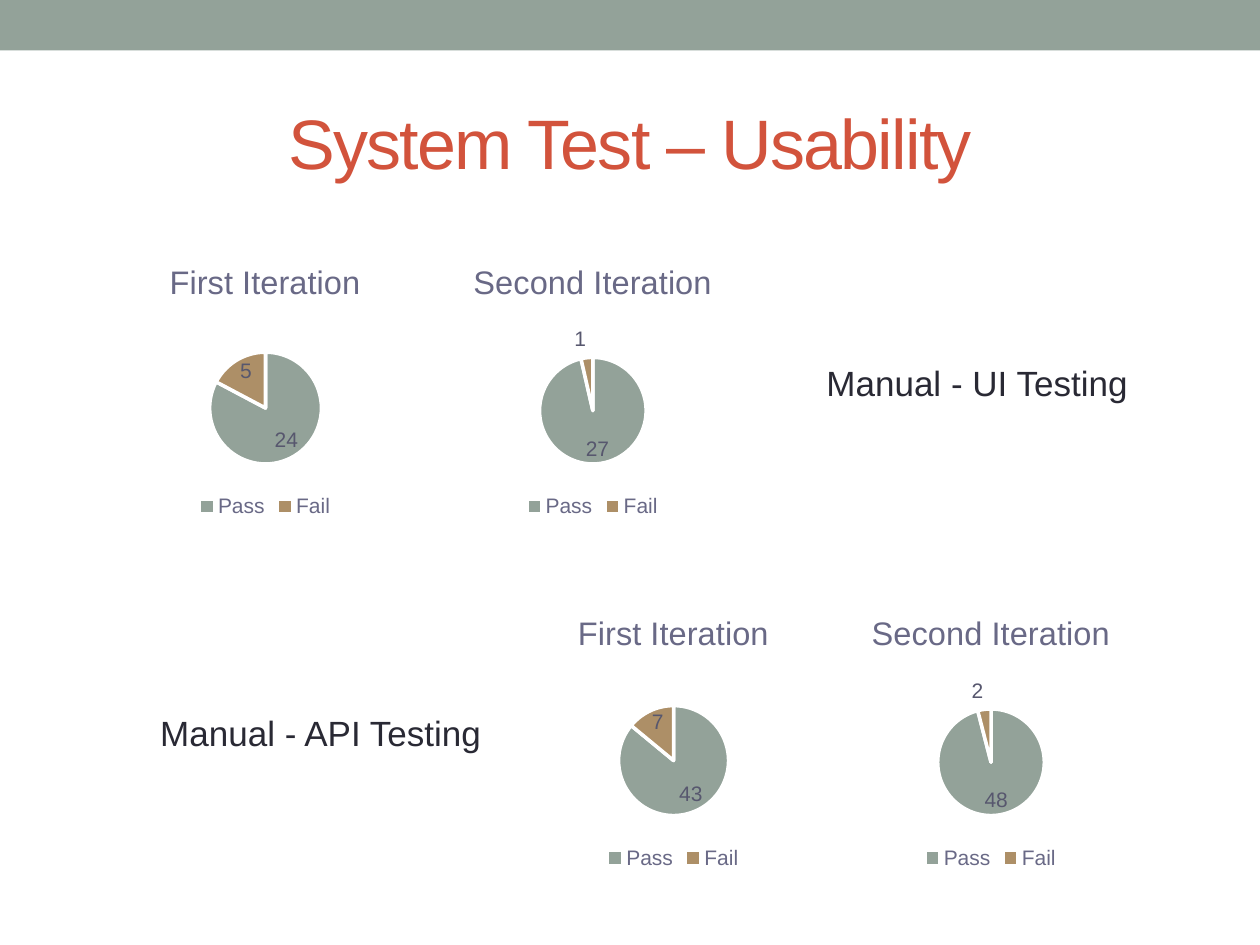
"""Builds the usability system test slide with four pass/fail pies."""
from pptx import Presentation
from pptx.chart.data import CategoryChartData
from pptx.dml.color import RGBColor
from pptx.enum.chart import XL_CHART_TYPE, XL_LABEL_POSITION, XL_LEGEND_POSITION
from pptx.enum.shapes import MSO_SHAPE
from pptx.enum.text import MSO_ANCHOR, PP_ALIGN
from pptx.util import Pt

PIE = XL_CHART_TYPE.PIE
BEST_FIT = XL_LABEL_POSITION.BEST_FIT
BOTTOM = XL_LEGEND_POSITION.BOTTOM
RECT = MSO_SHAPE.RECTANGLE
MIDDLE = MSO_ANCHOR.MIDDLE
CENTER = PP_ALIGN.CENTER

THEME = {
    "font": "Arial",
    "band": "93A299", "title": "D2533C", "text": "292934",
    "muted": "696986", "label": "57576E", "edge": "FFFFFF",
    "slices": ("93A299", "AD8F67"),
    "title_size": 40, "text_size": 20, "chart_title_size": 18.6,
    "chart_size": 10, "label_size": 12,
}

TITLE = "System Test – Usability"
CATEGORIES = ("Pass", "Fail")
ITERATIONS = ("First Iteration", "Second Iteration")
ROWS = [
    {"caption": "Manual - UI Testing", "caption_box": (464.4, 203, 188, 31.5),
     "top": 138.2, "lefts": (31.7, 218.9), "results": ((24, 5), (27, 1))},
    {"caption": "Manual - API Testing", "caption_box": (83.5, 403.2, 199.5, 31.5),
     "top": 339.1, "lefts": (265, 446.4), "results": ((43, 7), (48, 2))},
]
CHART_SIZE = (239.8, 160.6)
TITLE_BOX = (36, 41.8, 648, 77.8)
BAND_BOX = (0, 0, 720, 28.8)


def points(*values):
    return [Pt(v) for v in values]


def set_font(font, size, color):
    font.name = THEME["font"]
    font.size = Pt(size)
    font.bold = False
    font.color.rgb = RGBColor.from_string(color)


def set_text(tf, text, size, color, spacing=None):
    p = tf.paragraphs[0]
    p.alignment = CENTER
    r = p.add_run()
    r.text = text
    set_font(r.font, size, color)
    if spacing is not None:
        r._r.get_or_add_rPr().set("spc", str(spacing * 100))


def add_pie(s, name, values, left, top):
    data = CategoryChartData()
    data.categories = CATEGORIES
    data.add_series(name, values)
    chart = s.shapes.add_chart(PIE, *points(left, top, *CHART_SIZE), data).chart
    set_font(chart.font, THEME["chart_size"], THEME["text"])

    chart.has_title = True
    set_text(chart.chart_title.text_frame, name,
             size=THEME["chart_title_size"], color=THEME["muted"])
    chart.chart_title.include_in_layout = False

    chart.has_legend = True
    chart.legend.position = BOTTOM
    chart.legend.include_in_layout = False
    set_font(chart.legend.font, THEME["label_size"], THEME["muted"])

    plot = chart.plots[0]
    plot.vary_by_categories = True
    series = plot.series[0]
    for i, color in enumerate(THEME["slices"]):
        slice_format = series.points[i].format
        slice_format.fill.solid()
        slice_format.fill.fore_color.rgb = RGBColor.from_string(color)
        slice_format.line.color.rgb = RGBColor.from_string(THEME["edge"])
        slice_format.line.width = Pt(2)

    labels = series.data_labels
    labels.show_value = True
    labels.position = BEST_FIT
    set_font(labels.font, THEME["label_size"], THEME["label"])


def add_caption(s, text, box):
    tf = s.shapes.add_textbox(*points(*box)).text_frame
    tf.word_wrap = False
    set_text(tf, text, size=THEME["text_size"], color=THEME["text"])


def main():
    prs = Presentation()
    prs.slide_width, prs.slide_height = points(720, 540)
    s = prs.slides.add_slide(prs.slide_layouts[5])

    band = s.shapes.add_shape(RECT, *points(*BAND_BOX))
    band.shadow.inherit = False
    band.fill.solid()
    band.fill.fore_color.rgb = RGBColor.from_string(THEME["band"])
    band.line.fill.background()

    title = s.shapes.title
    title.left, title.top, title.width, title.height = points(*TITLE_BOX)
    title.text_frame.vertical_anchor = MIDDLE
    set_text(title.text_frame, TITLE, size=THEME["title_size"],
             color=THEME["title"], spacing=-1)

    for row in ROWS:
        for name, values, left in zip(ITERATIONS, row["results"], row["lefts"]):
            add_pie(s, name, values, left, row["top"])
        add_caption(s, row["caption"], row["caption_box"])

    prs.save("out.pptx")


if __name__ == "__main__":
    main()
